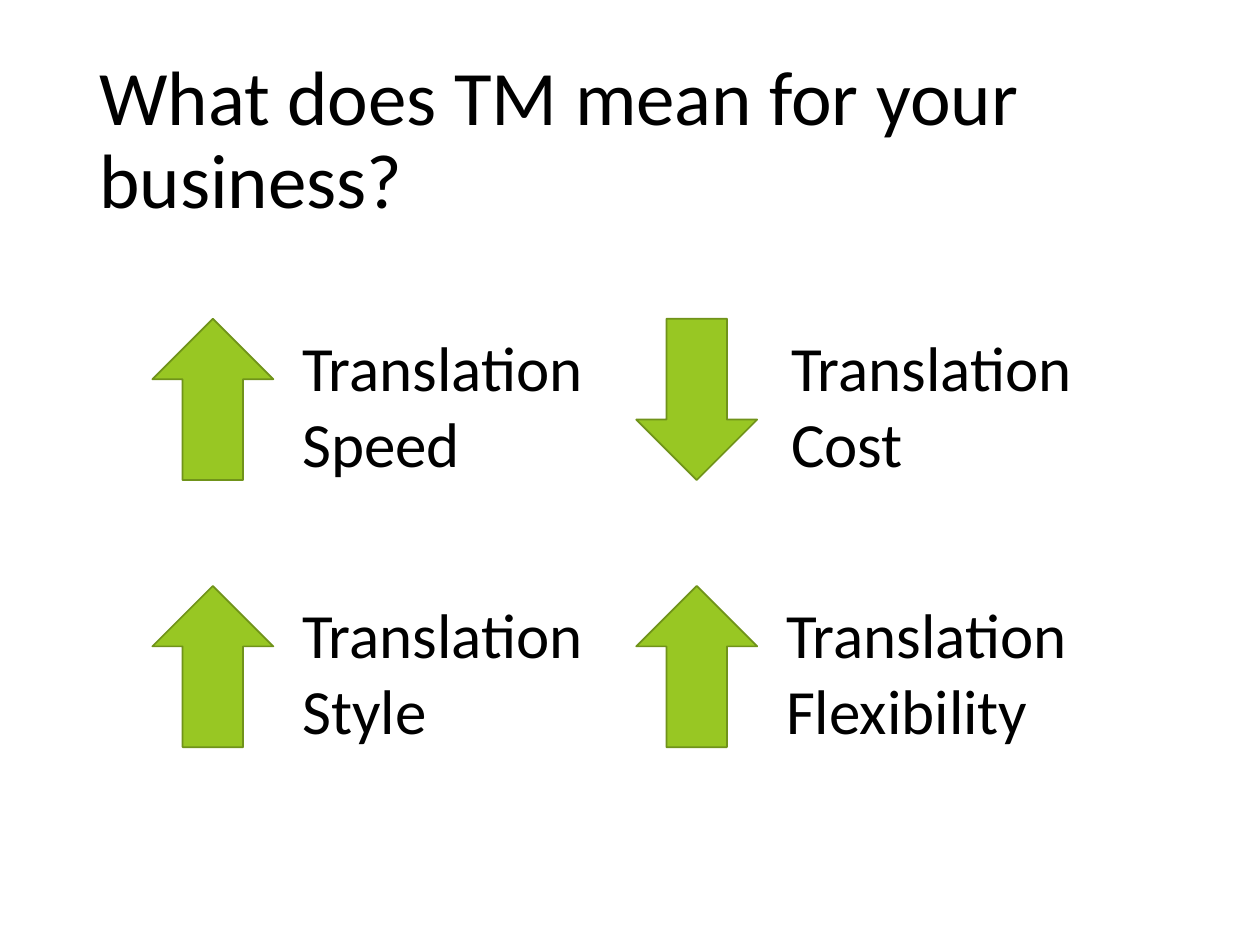
from pptx import Presentation
from pptx.dml.color import RGBColor
from pptx.enum.shapes import MSO_SHAPE
from pptx.enum.text import MSO_ANCHOR, MSO_AUTO_SIZE
from pptx.util import Inches, Pt

COLOURS = {"arrow": "98C723", "outline": "70931A", "text": "000000"}
FONT = "Calibri"
COLUMN_GAP, ROW_GAP = 3.84, 2.12
EFFECTS = [
    [("Speed", MSO_SHAPE.UP_ARROW, 1.09), ("Cost", MSO_SHAPE.DOWN_ARROW, 1.13)],
    [("Style", MSO_SHAPE.UP_ARROW, 1.09), ("Flexibility", MSO_SHAPE.UP_ARROW, 1.09)],
]


def colour(name):
    return RGBColor.from_string(COLOURS[name])


def add_span(para, text, size):
    span = para.add_run()
    span.text = text
    span.font.name = FONT
    span.font.size = Pt(size)
    span.font.color.rgb = colour("text")


def add_title(page, left, top, width, height):
    box = page.shapes.add_textbox(Inches(left), Inches(top), Inches(width), Inches(height))
    frame = box.text_frame
    frame.word_wrap = True
    frame.vertical_anchor = MSO_ANCHOR.MIDDLE
    para = frame.paragraphs[0]
    para.line_spacing = 0.9
    add_span(para, "What does TM mean for your business?", 44)


def add_arrow(page, kind, left, top, width, height):
    arrow = page.shapes.add_shape(kind, Inches(left), Inches(top), Inches(width), Inches(height))
    arrow.shadow.inherit = False
    arrow.fill.solid()
    arrow.fill.fore_color.rgb = colour("arrow")
    arrow.line.color.rgb = colour("outline")
    arrow.line.width = Pt(1)


def add_label(page, aspect, left, top, width, height):
    box = page.shapes.add_textbox(Inches(left), Inches(top), Inches(width), Inches(height))
    frame = box.text_frame
    frame.word_wrap = False
    frame.auto_size = MSO_AUTO_SIZE.SHAPE_TO_FIT_TEXT
    add_span(frame.paragraphs[0], "Translation", 36)
    add_span(frame.add_paragraph(), aspect, 36)


def add_effects(page, left, top):
    for row, effects in enumerate(EFFECTS):
        for column, (aspect, kind, label_offset) in enumerate(effects):
            x = left + column * COLUMN_GAP
            y = top + row * ROW_GAP
            add_arrow(page, kind, x, y, 0.96, 1.28)
            add_label(page, aspect, x + label_offset, y + 0.03, 2.45, 1.31)


def main():
    deck = Presentation()
    deck.slide_width, deck.slide_height = Inches(10), Inches(7.5)
    page = deck.slides.add_slide(deck.slide_layouts[6])
    add_title(page, 0.69, 0.4, 8.62, 1.45)
    add_effects(page, 1.21, 2.53)
    deck.save("out.pptx")


if __name__ == "__main__":
    main()
